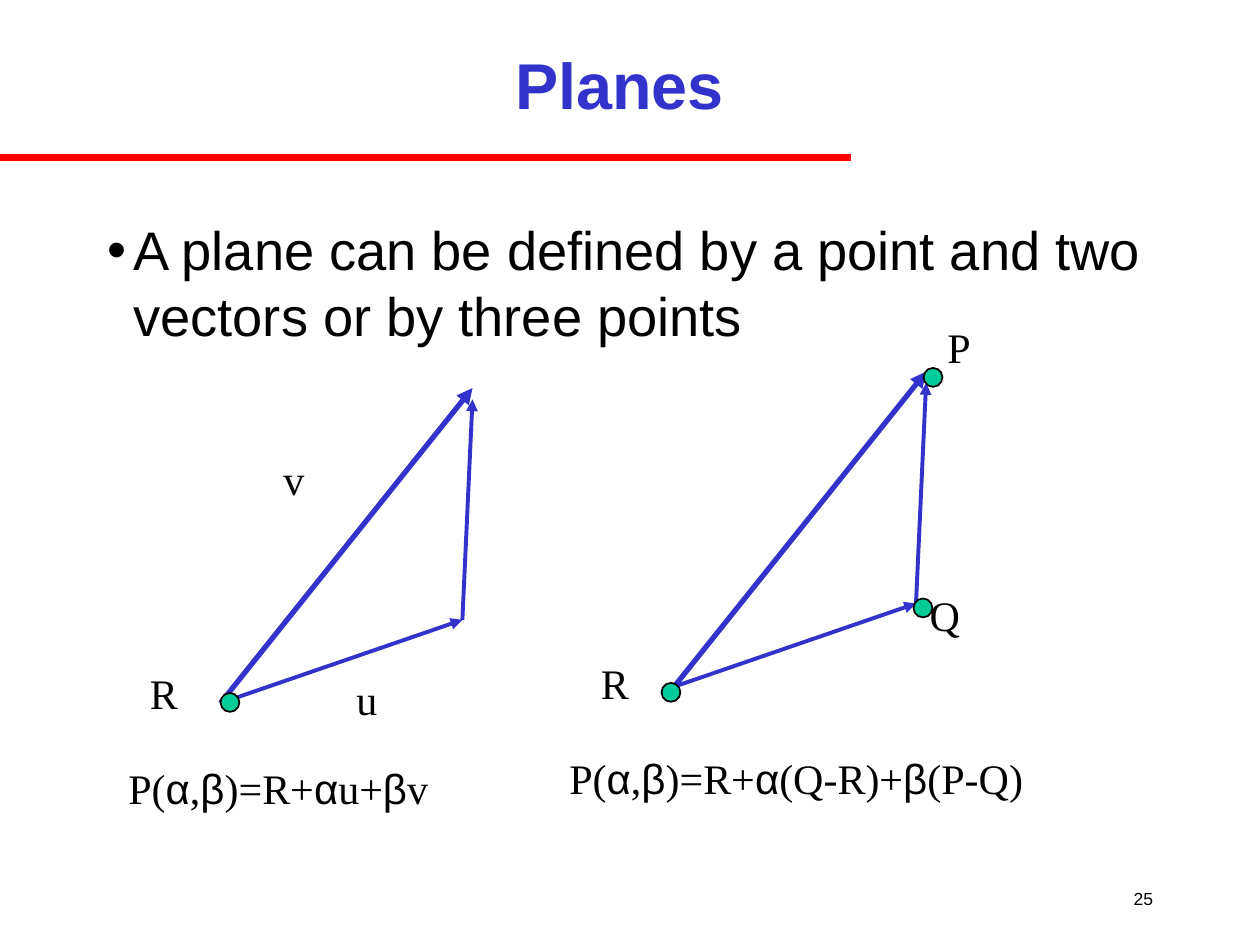
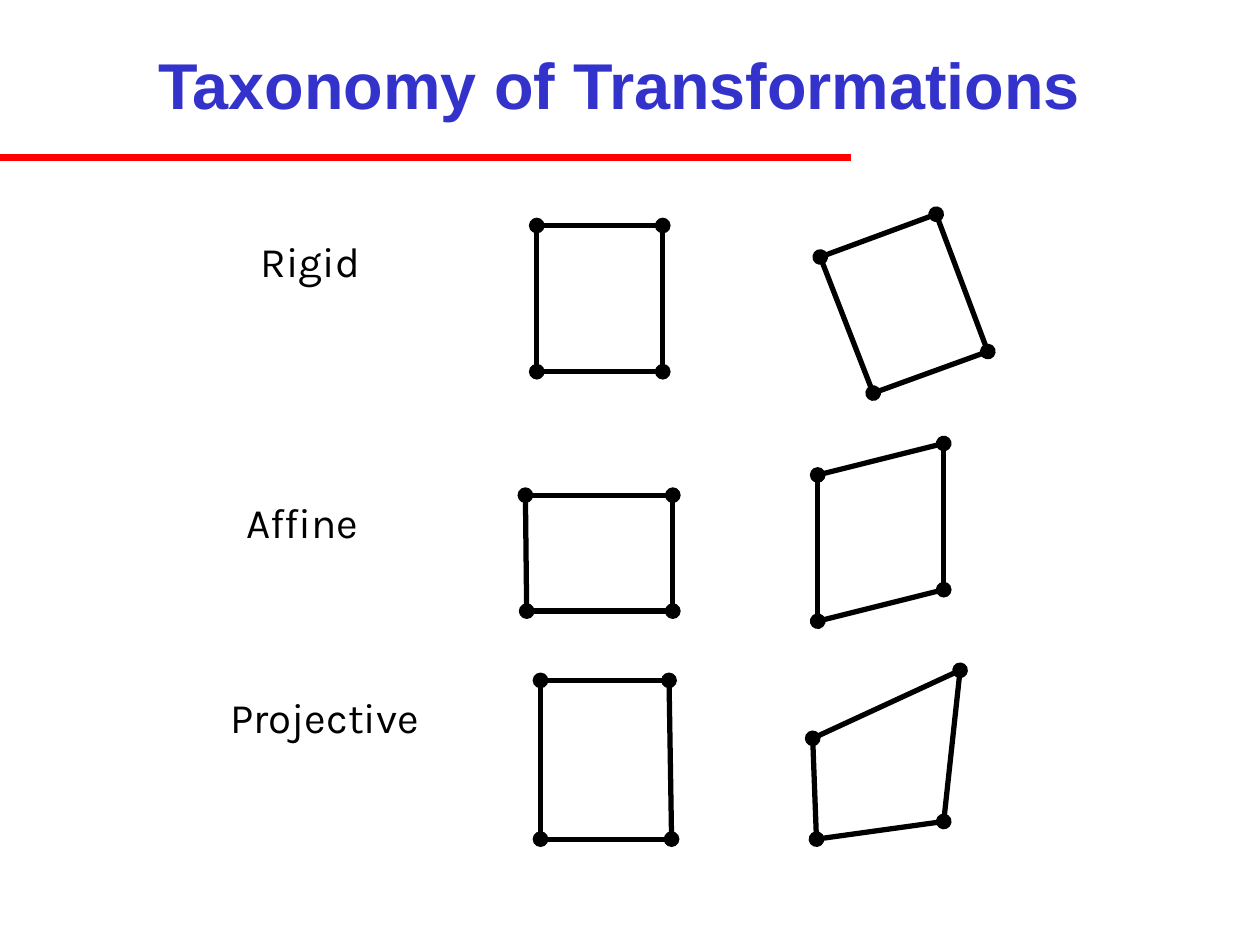
"""Builds two geometry slides: planes, and the taxonomy of transformations."""
from itertools import groupby

from lxml import etree
from pptx import Presentation
from pptx import util as u
from pptx.dml.color import RGBColor
from pptx.enum import shapes, text
from pptx.oxml.ns import qn

BLUE = RGBColor(0x33, 0x33, 0xCC)
RED = RGBColor(0xFF, 0x00, 0x00)
GREEN = RGBColor(0x00, 0xCC, 0x99)
BLACK = RGBColor(0x00, 0x00, 0x00)
SANS, SERIF, LABEL = "Arial", "Times New Roman", "Karla"
COLUMNS, ROWS = 100, 75
TITLE_ONLY, TITLE_AND_BODY = 5, 1
GREEK = "αβ"
DOT = 1.5


class Deck:
    """Holds the style and the current slide; lengths are grid columns and rows."""

    def __init__(self):
        self.presentation = Presentation()
        self.presentation.slide_width = u.Inches(10)
        self.presentation.slide_height = u.Inches(7.5)
        self.slide = None

    def x(self, columns):
        return round(self.presentation.slide_width * columns / COLUMNS)

    def y(self, rows):
        return round(self.presentation.slide_height * rows / ROWS)

    def box(self, left, top, width, height):
        return self.x(left), self.y(top), self.x(width), self.y(height)

    def place(self, shape, *box):
        shape.left, shape.top, shape.width, shape.height = self.box(*box)

    def add_run(self, paragraph, words, size, font=SANS, color=BLACK, bold=False):
        run = paragraph.add_run()
        run.text = words
        run.font.size, run.font.name, run.font.bold = u.Pt(size), font, bold
        run.font.color.rgb = color

    def new_slide(self, title, layout):
        layouts = self.presentation.slide_layouts
        self.slide = self.presentation.slides.add_slide(layouts[layout])
        self.line((0, 12.5), (67.5, 12.5), RED, 4)
        shape = self.slide.shapes.title
        self.place(shape, 0, 0.8, 98.3, 11.7)
        frame = shape.text_frame
        frame.auto_size = text.MSO_AUTO_SIZE.NONE
        frame.vertical_anchor = text.MSO_ANCHOR.MIDDLE
        paragraph = frame.paragraphs[0]
        paragraph.alignment = text.PP_ALIGN.CENTER
        self.add_run(paragraph, title, 37, color=BLUE, bold=True)

    def body(self, words):
        shape = self.slide.placeholders[1]
        self.place(shape, 7.5, 16.7, 85, 51.7)
        shape.text_frame.auto_size = text.MSO_AUTO_SIZE.NONE
        paragraph = shape.text_frame.paragraphs[0]
        paragraph.space_before = u.Pt(7.7)
        self.add_run(paragraph, words, 31)
        properties = paragraph._p.get_or_add_pPr()
        properties.set("marL", str(u.Inches(0.21)))
        properties.set("indent", str(-u.Inches(0.21)))
        etree.SubElement(properties, qn("a:buChar")).set("char", "•")

    def label(self, words, left, top, width, font=SERIF):
        shape = self.slide.shapes.add_textbox(*self.box(left, top, width, 5))
        shape.text_frame.word_wrap = False
        paragraph = shape.text_frame.paragraphs[0]
        for greek, letters in groupby(words, lambda letter: letter in GREEK):
            self.add_run(paragraph, "".join(letters), 24, SANS if greek else font)

    def page_number(self, number):
        shape = self.slide.shapes.add_textbox(*self.box(88.3, 69.2, 4.2, 4.2))
        frame = shape.text_frame
        frame.word_wrap = False
        frame.vertical_anchor = text.MSO_ANCHOR.MIDDLE
        frame.paragraphs[0].alignment = text.PP_ALIGN.RIGHT
        self.add_run(frame.paragraphs[0], number, 10)

    def line(self, start, end, color, weight, head=None, tail=None):
        connector = self.slide.shapes.add_connector(
            shapes.MSO_CONNECTOR.STRAIGHT,
            self.x(start[0]), self.y(start[1]), self.x(end[0]), self.y(end[1]))
        connector.line.color.rgb = color
        connector.line.width = u.Pt(weight)
        properties = connector._element.spPr
        outline = properties.find(qn("a:ln"))
        for tag, kind in (("a:headEnd", head), ("a:tailEnd", tail)):
            if kind:
                etree.SubElement(outline, qn(tag)).set("type", kind)
        etree.SubElement(properties, qn("a:effectLst"))

    def dot(self, left, top):
        shape = self.slide.shapes.add_shape(
            shapes.MSO_SHAPE.OVAL, *self.box(left, top, DOT, DOT))
        shape.shadow.inherit = False
        shape.fill.solid()
        shape.fill.fore_color.rgb = GREEN
        shape.line.color.rgb = BLACK
        shape.line.width = u.Pt(1)

    def vector_triangle(self, left, bottom):
        origin = (left, bottom)
        corner = (left + 19.2, bottom - 6.6)
        self.line(origin, (left + 20, bottom - 25), BLUE, 3, tail="triangle")
        self.line(origin, corner, BLUE, 2.25, tail="triangle")
        self.line(corner, (left + 20, bottom - 24.1), BLUE, 2.25, tail="triangle")

    def quadrilateral(self, corners):
        for start, end in zip(corners, corners[1:] + corners[:1]):
            self.line(start, end, BLACK, 3, head="oval")

    def save(self):
        self.presentation.save("out.pptx")


PLANE_LABELS = [
    ("P(α,β)=R+αu+βv", 9.2, 60, 25.9),
    ("P(α,β)=R+α(Q-R)+β(P-Q)", 44.2, 59.2, 38.2),
    ("u", 27.3, 53, 3.6),
    ("v", 21.5, 35.5, 3.6),
    ("R", 10.9, 52.5, 4.2),
    ("P", 74.2, 25, 3.8),
    ("R", 46.7, 51.7, 4.2),
    ("Q", 72.8, 46.3, 4.4),
]
PLANE_ORIGINS = [(17.5, 55.8), (53.5, 54.5)]
PLANE_POINTS = [(17.5, 55), (52.5, 54.2), (72.5, 47.5), (73.3, 29.2)]

TRANSFORMATIONS = [
    (("Rigid", 19.7, 18.2, 10.7),
     [(42.6, 17.9), (42.6, 29.5), (52.6, 29.5), (52.6, 17.9)],
     [(65.1, 20.4), (69.3, 31.2), (78.4, 27.9), (74.3, 17)]),
    (("Affine", 18.6, 38.9, 12.1),
     [(41.7, 39.3), (41.8, 48.5), (53.4, 48.5), (53.4, 39.3)],
     [(64.9, 37.7), (64.9, 49.3), (74.9, 46.8), (74.9, 35.2)]),
    (("Projective", 17.3, 54.4, 18.2),
     [(42.9, 54), (42.9, 66.6), (53.3, 66.6), (53.1, 54)],
     [(64.5, 58.6), (64.8, 66.6), (74.9, 65.2), (76.2, 53.2)]),
]


def main():
    deck = Deck()

    deck.new_slide("Planes", TITLE_AND_BODY)
    deck.page_number("25")
    deck.body("A plane can be defined by a point and two vectors or by three points")
    for origin in PLANE_ORIGINS:
        deck.vector_triangle(*origin)
    for label in PLANE_LABELS:
        deck.label(*label)
    for point in PLANE_POINTS:
        deck.dot(*point)

    deck.new_slide("Taxonomy of Transformations", TITLE_ONLY)
    for label, before, after in TRANSFORMATIONS:
        deck.label(*label, font=LABEL)
        deck.quadrilateral(before)
        deck.quadrilateral(after)

    deck.save()


if __name__ == "__main__":
    main()
